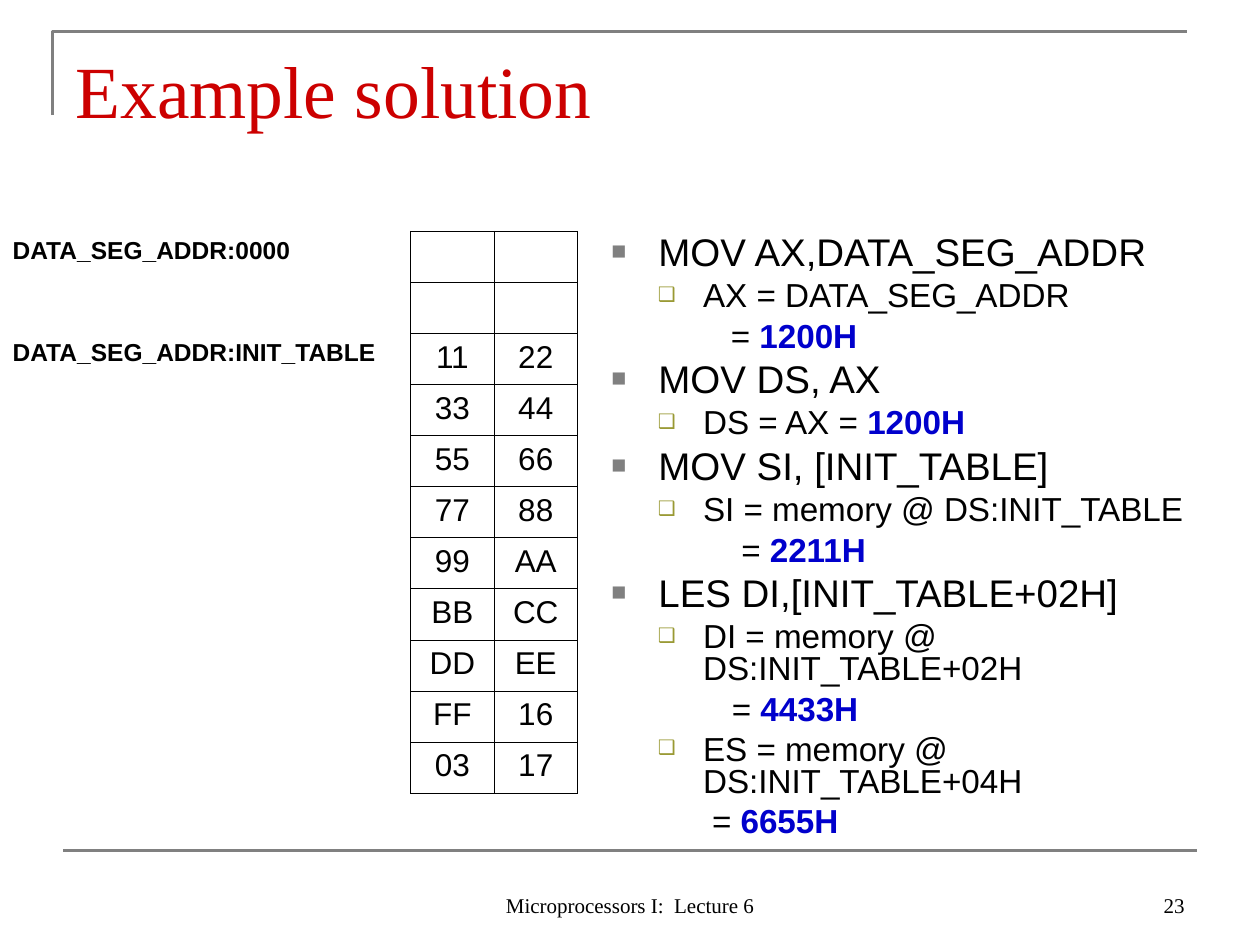
"""Build the slide with a memory table beside the worked assembly example."""
from dataclasses import dataclass

from lxml.etree import SubElement
from pptx import Presentation
from pptx.dml.color import RGBColor
from pptx.enum.shapes import MSO_CONNECTOR
from pptx.enum.text import MSO_ANCHOR, MSO_AUTO_SIZE, PP_ALIGN
from pptx.oxml.ns import qn
from pptx.util import Cm, Pt

BLACK = RGBColor(0x00, 0x00, 0x00)
WHITE = RGBColor(0xFF, 0xFF, 0xFF)
GRAY = RGBColor(0x80, 0x80, 0x80)
RED = RGBColor(0xCC, 0x00, 0x00)
BLUE = RGBColor(0x00, 0x00, 0xCC)
OLIVE = RGBColor(0x99, 0x99, 0x33)
SANS, SERIF = "Arial", "Times New Roman"


@dataclass(frozen=True)
class Style:
    level: int
    size: float
    space: float
    left: float
    hang: float
    mark: str = ""
    tint: RGBColor = BLACK
    scale: int = 100


@dataclass(frozen=True)
class Item:
    style: Style
    text: str
    value: str = ""


@dataclass(frozen=True)
class Note:
    text: str
    left: float
    width: float
    align: PP_ALIGN


CODE = Style(0, 22, 5.5, 0.95, 0.95, "■", GRAY, 65)
STEP = Style(1, 19, 4.8, 1.85, 0.91, "❑", OLIVE, 60)


def result(left: float, value: str) -> Item:
    return Item(Style(1, 19, 4.8, left, 0), "= ", value)


ITEMS = [
    Item(CODE, "MOV AX,DATA_SEG_ADDR"),
    Item(STEP, "AX = DATA_SEG_ADDR"),
    result(2.41, "1200H"),
    Item(CODE, "MOV DS, AX"),
    Item(STEP, "DS = AX = ", "1200H"),
    Item(CODE, "MOV SI, [INIT_TABLE]"),
    Item(STEP, "SI = memory @ DS:INIT_TABLE"),
    result(2.62, "2211H"),
    Item(CODE, "LES DI,[INIT_TABLE+02H]"),
    Item(STEP, "DI = memory @ DS:INIT_TABLE+02H"),
    result(2.43, "4433H"),
    Item(STEP, "ES = memory @ DS:INIT_TABLE+04H"),
    result(2.03, "6655H"),
]
LABELS = {0: "DATA_SEG_ADDR:0000", 2: "DATA_SEG_ADDR:INIT_TABLE"}
BYTES = [("", ""), ("", ""), ("11", "22"), ("33", "44"), ("55", "66"), ("77", "88"),
         ("99", "AA"), ("BB", "CC"), ("DD", "EE"), ("FF", "16"), ("03", "17")]
NOTES = [
    Note("Microprocessors I:  Lecture 6", 8.68, 8.05, PP_ALIGN.CENTER),
    Note("23", 18.21, 5.92, PP_ALIGN.RIGHT),
]


def place(shape, left: float, top: float, width: float, height: float) -> None:
    shape.left, shape.top = Cm(left), Cm(top)
    shape.width, shape.height = Cm(width), Cm(height)


def set_font(font, name: str, size: float, color: RGBColor, bold: bool = False) -> None:
    font.name, font.size, font.bold = name, Pt(size), bold
    font.color.rgb = color


def set_mark(para, style: Style) -> None:
    props = para._p.get_or_add_pPr()
    props.set("marL", str(Cm(style.left)))
    props.set("indent", str(-Cm(style.hang)))
    if not style.mark:
        SubElement(props, qn("a:buNone"))
        return
    tint = SubElement(props, qn("a:buClr"))
    SubElement(tint, qn("a:srgbClr"), val=str(style.tint))
    SubElement(props, qn("a:buSzPct"), val=str(style.scale * 1000))
    SubElement(props, qn("a:buFont"), typeface=SANS)
    SubElement(props, qn("a:buChar"), char=style.mark)


def fill_list(frame) -> None:
    frame.auto_size = MSO_AUTO_SIZE.NONE
    frame.vertical_anchor = MSO_ANCHOR.TOP
    for index, item in enumerate(ITEMS):
        para = frame.add_paragraph() if index else frame.paragraphs[0]
        style = item.style
        para.level = style.level
        para.line_spacing = 0.8
        para.space_before = Pt(style.space if index else 0)
        set_mark(para, style)
        set_font(para.font, SANS, style.size, BLACK)
        para.add_run().text = item.text
        if item.value:
            run = para.add_run()
            run.text = item.value
            run.font.bold = True
            run.font.color.rgb = BLUE


def set_edge(cell, side: str, color: RGBColor) -> None:
    props = cell._tc.get_or_add_tcPr()
    line = SubElement(props, qn(f"a:ln{side}"), w=str(Pt(0.45)))
    SubElement(SubElement(line, qn("a:solidFill")), qn("a:srgbClr"), val=str(color))


def fill_cell(cell, text: str, label: bool) -> None:
    for side in "LRTB":
        set_edge(cell, side, WHITE if label and side != "R" else BLACK)
    cell.fill.solid()
    cell.fill.fore_color.rgb = WHITE
    para = cell.text_frame.paragraphs[0]
    para.alignment = PP_ALIGN.LEFT if label else PP_ALIGN.CENTER
    set_font(para.font, SANS, 14 if label else 18, BLACK, label)
    if text:
        para.add_run().text = text


def add_grid(slide) -> None:
    table = slide.shapes.add_table(
        len(BYTES), 3, Cm(0), Cm(4.66), Cm(11.64), Cm(11.33)).table
    table.first_row = table.horz_banding = False
    for column, width in zip(table.columns, (8.28, 1.68, 1.68)):
        column.width = Cm(width)
    for row, pair in enumerate(BYTES):
        for col, text in enumerate((LABELS.get(row, ""), *pair)):
            fill_cell(table.cell(row, col), text, col == 0)


def add_rules(slide) -> None:
    pen = slide.shapes.build_freeform(Cm(1.06), Cm(2.32))
    pen.add_line_segments([(Cm(1.06), Cm(0.63)), (Cm(23.92), Cm(0.63))], close=False)
    frame = pen.convert_to_shape()
    frame.shadow.inherit = False
    frame.fill.background()
    base = slide.shapes.add_connector(
        MSO_CONNECTOR.STRAIGHT, Cm(1.27), Cm(17.15), Cm(24.13), Cm(17.15))
    SubElement(base._element.spPr, qn("a:effectLst"))
    for rule in (frame, base):
        rule.line.color.rgb = GRAY
        rule.line.width = Pt(1.5)


def add_note(slide, note: Note) -> None:
    box = slide.shapes.add_textbox(Cm(note.left), Cm(17.35), Cm(note.width), Cm(1.27))
    frame = box.text_frame
    frame.word_wrap = True
    frame.vertical_anchor = MSO_ANCHOR.BOTTOM
    para = frame.paragraphs[0]
    para.text = note.text
    para.alignment = note.align
    set_font(para.font, SERIF, 12, BLACK)


def main() -> None:
    deck = Presentation()
    deck.slide_width, deck.slide_height = Cm(25.4), Cm(19.05)
    slide = deck.slides.add_slide(deck.slide_layouts[1])
    add_rules(slide)
    title, body = slide.shapes.title, slide.placeholders[1]
    place(title, 1.27, 0.75, 22.86, 1.98)
    frame = title.text_frame
    frame.text = "Example solution"
    frame.auto_size = MSO_AUTO_SIZE.NONE
    frame.vertical_anchor = MSO_ANCHOR.BOTTOM
    frame.margin_bottom = Cm(0.05)
    para = frame.paragraphs[0]
    para.alignment = PP_ALIGN.LEFT
    set_font(para.font, SERIF, 42, RED)
    add_grid(slide)
    place(body, 12.07, 4.65, 13.33, 12.5)
    fill_list(body.text_frame)
    for note in NOTES:
        add_note(slide, note)
    deck.save("out.pptx")


if __name__ == "__main__":
    main()
